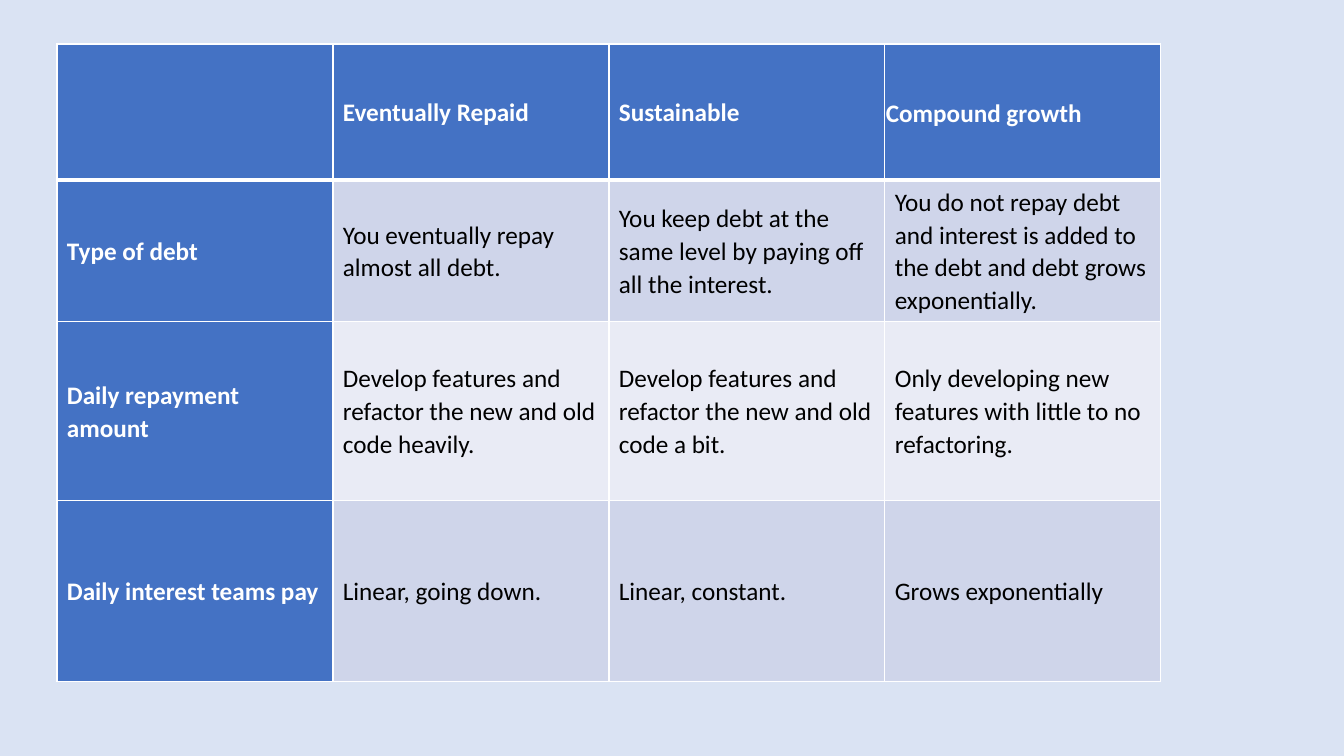
from dataclasses import dataclass

from lxml import etree
from pptx import Presentation
from pptx.dml.color import RGBColor
from pptx.enum.text import MSO_ANCHOR
from pptx.oxml.ns import qn
from pptx.util import Pt

MIDDLE = MSO_ANCHOR.MIDDLE
EMU_PER_PX = 12192000 / 1344
BLANK_LAYOUT = 6


@dataclass(frozen=True)
class Theme:
    font: str = "Calibri"
    text_size: float = 18
    background: str = "DAE3F3"
    heading_fill: str = "4472C4"
    heading_text: str = "FFFFFF"
    body_text: str = "000000"
    band_fills: tuple = ("CFD5EA", "E9EBF5")
    border: str = "FFFFFF"
    thin: float = 1
    thick: float = 3


def px(length):
    return round(length * EMU_PER_PX)


class SlideBuilder:
    def __init__(self, deck, theme):
        self.theme = theme
        self.page = deck.slides.add_slide(deck.slide_layouts[BLANK_LAYOUT])
        fill = self.page.background.fill
        fill.solid()
        fill.fore_color.rgb = RGBColor.from_string(theme.background)

    def add_table(self, left, top, column_widths, row_heights, rows):
        frame = self.page.shapes.add_table(
            len(rows), len(column_widths), px(left), px(top),
            px(sum(column_widths)), px(sum(row_heights)))
        table = frame.table
        table.first_col = True
        for column, width in zip(table.columns, column_widths):
            column.width = px(width)
        for row, height in zip(table.rows, row_heights):
            row.height = px(height)
        for row_index, texts in enumerate(rows):
            for column_index, text in enumerate(texts):
                self.format_cell(table.cell(row_index, column_index),
                                 text, row_index, column_index)
        return table

    def format_cell(self, cell, text, row_index, column_index):
        theme = self.theme
        heading = row_index == 0 or column_index == 0

        # The rule below the header row is thicker than the others
        self.set_borders(cell, {
            "L": theme.thin,
            "R": theme.thin,
            "T": theme.thick if row_index == 1 else theme.thin,
            "B": theme.thick if row_index == 0 else theme.thin,
        })
        band = theme.band_fills[(row_index - 1) % len(theme.band_fills)]
        cell.fill.solid()
        cell.fill.fore_color.rgb = RGBColor.from_string(
            theme.heading_fill if heading else band)

        self.set_margins(cell, 10, 5, 10, 5)
        cell.vertical_anchor = MIDDLE
        cell.text_frame.text = text
        for para in cell.text_frame.paragraphs:
            para.line_spacing = 1.07
            para.space_before = Pt(3.8)
            para.space_after = Pt(11.2)
            para.font.size = Pt(theme.text_size)
            for span in para.runs:
                span.font.name = theme.font
                span.font.size = Pt(theme.text_size)
                span.font.bold = heading
                span.font.color.rgb = RGBColor.from_string(
                    theme.heading_text if heading else theme.body_text)

    def set_margins(self, cell, left, top, right, bottom):
        cell.margin_left, cell.margin_top = px(left), px(top)
        cell.margin_right, cell.margin_bottom = px(right), px(bottom)

    def set_borders(self, cell, widths):
        properties = cell._tc.get_or_add_tcPr()
        for side, width in widths.items():
            line = etree.SubElement(properties, qn(f"a:ln{side}"), w=str(Pt(width)))
            fill = etree.SubElement(line, qn("a:solidFill"))
            etree.SubElement(fill, qn("a:srgbClr"), val=self.theme.border)


DEBT_ROWS = [
    ["", "Eventually Repaid", "Sustainable", "Compound growth"],
    ["Type of debt",
     "You eventually repay almost all debt.",
     "You keep debt at the same level by paying off all the interest.",
     "You do not repay debt and interest is added to the debt and debt grows exponentially."],
    ["Daily repayment amount",
     "Develop features and refactor the new and old code heavily.",
     "Develop features and refactor the new and old code a bit.",
     "Only developing new features with little to no refactoring."],
    ["Daily interest teams pay",
     "Linear, going down.",
     "Linear, constant.",
     "Grows exponentially"],
]


def main():
    deck = Presentation()
    deck.slide_width, deck.slide_height = px(1344), px(756)
    builder = SlideBuilder(deck, Theme())

    # Comparison of the three kinds of debt
    table = builder.add_table(57, 44, [276] * 4, [136, 141, 179, 181], DEBT_ROWS)

    # The last heading sits tight against its left border
    builder.set_margins(table.cell(0, 3), 1, 3, 1, 1)

    deck.save("out.pptx")


if __name__ == "__main__":
    main()
